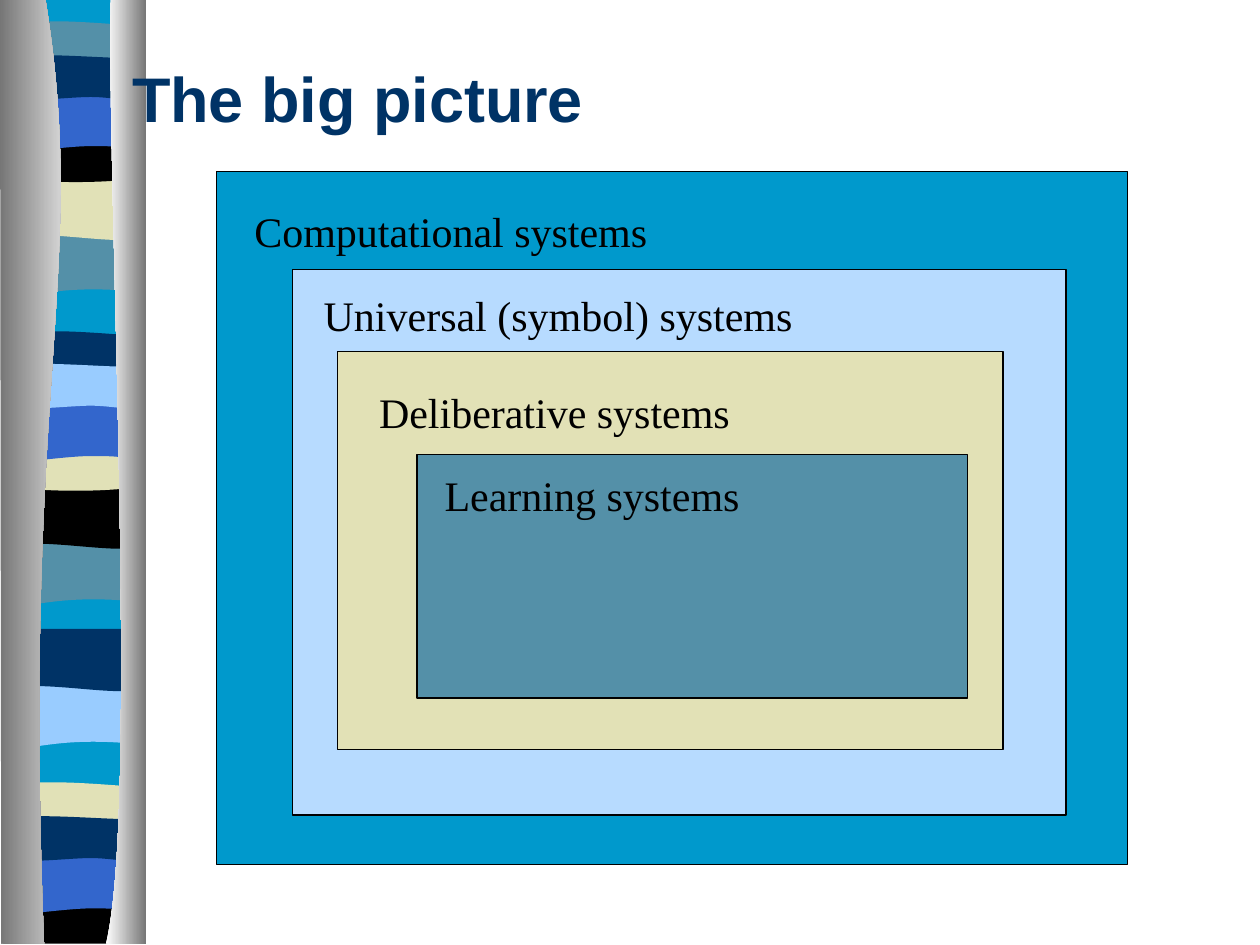
from dataclasses import dataclass

from lxml import etree
from pptx import Presentation
from pptx.dml.color import RGBColor
from pptx.enum.shapes import MSO_SHAPE
from pptx.enum.text import MSO_ANCHOR, PP_ALIGN
from pptx.oxml.ns import qn
from pptx.util import Inches, Pt

RECTANGLE = MSO_SHAPE.RECTANGLE
MIDDLE, TOP = MSO_ANCHOR.MIDDLE, MSO_ANCHOR.TOP
LEFT = PP_ALIGN.LEFT

BLACK = RGBColor(0x00, 0x00, 0x00)
WHITE = RGBColor(0xFF, 0xFF, 0xFF)
GREY = RGBColor(0x76, 0x76, 0x76)
NAVY = RGBColor(0x00, 0x33, 0x66)
CYAN = RGBColor(0x00, 0x99, 0xCC)
TEAL = RGBColor(0x54, 0x90, 0xA8)
BLUE = RGBColor(0x33, 0x66, 0xCC)
SKY = RGBColor(0x99, 0xCC, 0xFF)
PALE_BLUE = RGBColor(0xB7, 0xDB, 0xFF)
SAND = RGBColor(0xE1, 0xE1, 0xB7)
PALE_SAND = RGBColor(0xE2, 0xE1, 0xB6)

# Outlines in inches: a pair is a straight step, six numbers are a Bezier curve
Outline = list[tuple[float, ...]]
RIBBON_LEFT = 0.06

RIBBON: Outline = [(1.08, -0.01), (1.08, 7.47), (0, 7.47), (0, -0.01)]
SWELL: Outline = [(1.08, 0), (1.08, 0.47), (0.33, 0.39, 0.18, 0.55, 0, 0.47), (0, 0)]
ROLL: Outline = [(1.08, 0), (1.08, 0.47), (0.9, 0.55, 0.33, 0.41, 0, 0.47), (0, 0)]
CREST: Outline = [(1.08, 0.05), (1.08, 0.29), (0.9, 0.33, 0.18, 0.33, 0, 0.29), (0, 0.05),
                  (0.06, 0, 0.23, 0.01, 0.41, 0.01), (0.59, 0.01, 0.94, 0.04, 1.08, 0.05)]
BOWL: Outline = [(1.08, 0), (1.08, 0.32), (0.9, 0.38, 0.18, 0.38, 0, 0.32), (0, 0),
                 (0.66, 0.05, 0.85, 0, 1.08, 0)]
FOOT: Outline = [(1.08, 0), (1.08, 0.37), (0, 0.37), (0, 0), (0.66, 0.05, 0.85, 0, 1.08, 0)]
ARCH: Outline = [(1.08, 0), (1.08, 0.47), (0.91, 0.42, 0.84, 0.42, 0.66, 0.42),
                 (0.48, 0.42, 0.16, 0.47, 0, 0.47), (0, 0)]
RIPPLE: Outline = [(1.08, 0.05), (1.08, 0.36), (1.01, 0.41, 0.84, 0.36, 0.66, 0.36),
                   (0.48, 0.36, 0.11, 0.41, 0, 0.36), (0, 0.05),
                   (0.15, 0, 0.73, 0.05, 0.91, 0.05), (1.09, 0.05, 1.04, 0.05, 1.08, 0.05)]

LEFT_POST: Outline = [(0.36, -0.01), (0.71, 2.16, 0.17, 2.96, 0.35, 7.49), (0.01, 7.49),
                      (0, -0.01)]
RIGHT_POST: Outline = [(0.88, -0.01), (0.84, 1.25, 1.11, 6.46, 0.84, 7.49), (1.16, 7.49),
                       (1.16, 0)]


@dataclass
class Band:
    outline: Outline
    top: float
    colour: RGBColor


@dataclass
class Box:
    left: float
    top: float
    width: float
    height: float

    def lengths(self) -> list[Inches]:
        return [Inches(v) for v in (self.left, self.top, self.width, self.height)]


@dataclass
class SystemClass:
    frame: Box
    colour: RGBColor
    name: str
    label: Box
    label_filled: bool


# Back to front: later bands cover the edges of earlier ones
BANDS = [
    Band(SWELL, 1.85, TEAL), Band(ROLL, 1.41, SAND), Band(CREST, 0.16, TEAL),
    Band(BOWL, 1.08, BLACK), Band(ARCH, 0.74, BLUE), Band(RIPPLE, 0.41, NAVY),
    Band(SWELL, 4.31, TEAL), Band(ROLL, 3.86, BLACK), Band(CREST, 2.62, NAVY),
    Band(BOWL, 3.53, SAND), Band(ARCH, 3.2, BLUE), Band(RIPPLE, 2.86, SKY),
    Band(SWELL, 5.44, SKY), Band(ROLL, 4.99, NAVY), Band(CREST, 6.2, SAND),
    Band(FOOT, 7.12, BLACK), Band(ARCH, 6.79, BLUE), Band(RIPPLE, 6.45, NAVY),
]

SYSTEMS = [
    SystemClass(Box(1.72, 1.36, 7.23, 5.5), CYAN,
                "Computational systems", Box(1.92, 1.58, 3.62, 0.5), False),
    SystemClass(Box(2.32, 2.14, 6.14, 4.33), PALE_BLUE,
                "Universal (symbol) systems", Box(2.47, 2.25, 4.71, 0.5), True),
    SystemClass(Box(2.68, 2.79, 5.28, 3.16), PALE_SAND,
                "Deliberative systems", Box(2.91, 3.02, 4.68, 0.5), False),
    SystemClass(Box(3.31, 3.61, 4.37, 1.93), TEAL,
                "Learning systems", Box(3.43, 3.68, 4.23, 0.5), True),
]


def bend_curves(form, outline: Outline) -> None:
    """Join the three straight steps of each curve into one Bezier step."""
    path = next(form._element.iter(qn("a:path")))
    lines = iter(path.findall(qn("a:lnTo")))
    for step in outline[1:]:
        line = next(lines)
        if len(step) == 6:
            curve = etree.Element(qn("a:cubicBezTo"))
            line.addprevious(curve)
            for part in (line, next(lines), next(lines)):
                curve.append(part[0])
                path.remove(part)


def draw_outline(slide, outline: Outline, left: float = 0, top: float = 0):
    points = [(Inches(left + x), Inches(top + y))
              for step in outline for x, y in zip(step[::2], step[1::2])]
    builder = slide.shapes.build_freeform(*points[0])
    builder.add_line_segments(points[1:], close=True)
    form = builder.convert_to_shape()
    bend_curves(form, outline)
    form.shadow.inherit = False
    form.line.fill.background()
    return form


def draw_band(slide, band: Band) -> None:
    fill = draw_outline(slide, band.outline, RIBBON_LEFT, band.top).fill
    fill.solid()
    fill.fore_color.rgb = band.colour


def draw_post(slide, outline: Outline, left_colour: RGBColor, right_colour: RGBColor) -> None:
    fill = draw_outline(slide, outline).fill
    fill.gradient()
    fill.gradient_angle = 0
    for stop, colour in zip(fill.gradient_stops, (left_colour, right_colour)):
        stop.color.rgb = colour


def draw_rectangle(slide, box: Box, colour: RGBColor):
    rectangle = slide.shapes.add_shape(RECTANGLE, *box.lengths())
    rectangle.shadow.inherit = False
    rectangle.fill.solid()
    rectangle.fill.fore_color.rgb = colour
    rectangle.line.fill.background()
    return rectangle


def write_text(holder, text: str, font: str, size: int, colour: RGBColor,
               bold: bool = False, anchor=TOP) -> None:
    frame = holder.text_frame
    frame.word_wrap = True
    frame.vertical_anchor = anchor
    paragraph = frame.paragraphs[0]
    paragraph.alignment = LEFT
    run = paragraph.add_run()
    run.text = text
    run.font.name, run.font.size, run.font.bold = font, Pt(size), bold
    run.font.color.rgb = colour


def draw_system(slide, system: SystemClass) -> None:
    frame = draw_rectangle(slide, system.frame, system.colour)
    frame.line.color.rgb = BLACK
    frame.line.width = Pt(0.75)
    if system.label_filled:
        label = draw_rectangle(slide, system.label, system.colour)
    else:
        label = slide.shapes.add_textbox(*system.label.lengths())
    write_text(label, system.name, "Times New Roman", 24, BLACK)


def main() -> None:
    deck = Presentation()
    deck.slide_width, deck.slide_height = Inches(10), Inches(7.5)
    slide = deck.slides.add_slide(deck.slide_layouts[6])

    # Striped ribbon between two shaded posts
    for band in [Band(RIBBON, 0, CYAN), *BANDS]:
        draw_band(slide, band)
    draw_post(slide, LEFT_POST, GREY, WHITE)
    draw_post(slide, RIGHT_POST, WHITE, GREY)

    # Title
    title = slide.shapes.add_textbox(*Box(0.95, 0.15, 8.5, 1.25).lengths())
    write_text(title, "The big picture", "Arial", 36, NAVY, bold=True, anchor=MIDDLE)

    # Nested classes of systems, outermost first
    for system in SYSTEMS:
        draw_system(slide, system)

    deck.save("out.pptx")


if __name__ == "__main__":
    main()
